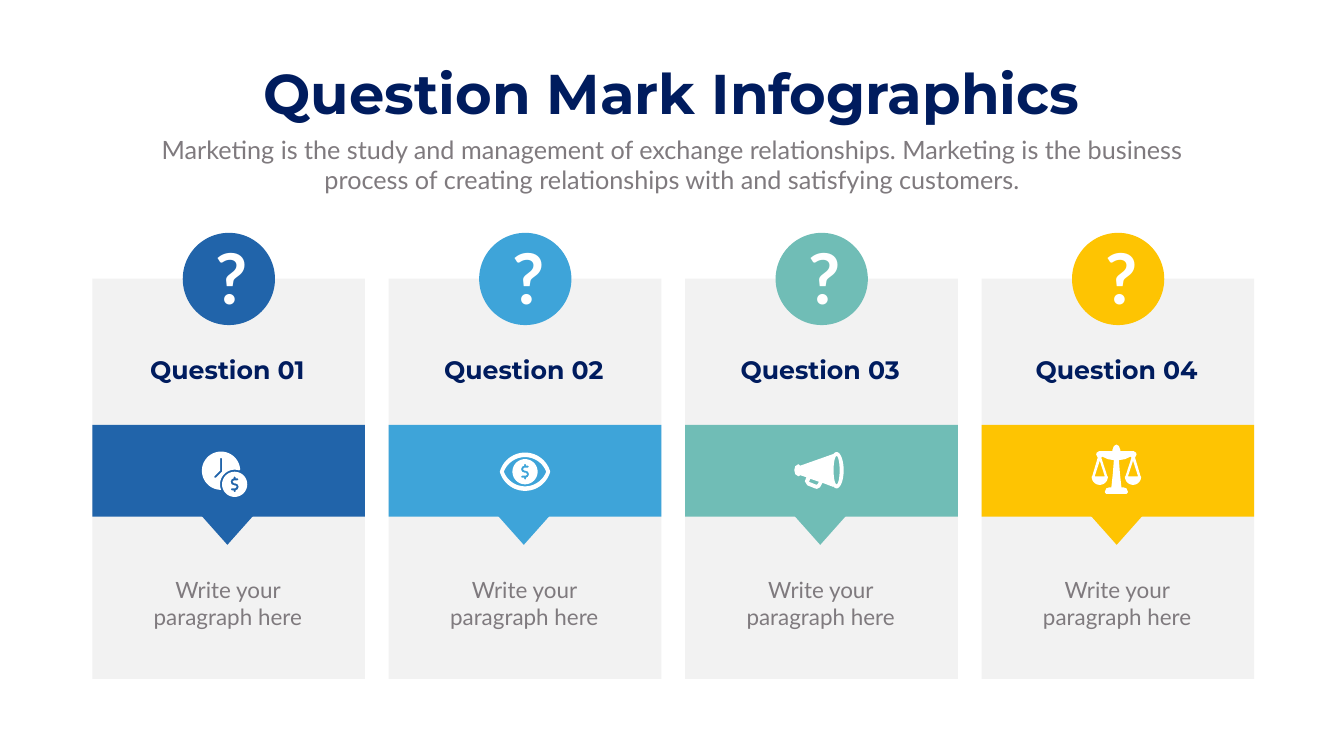
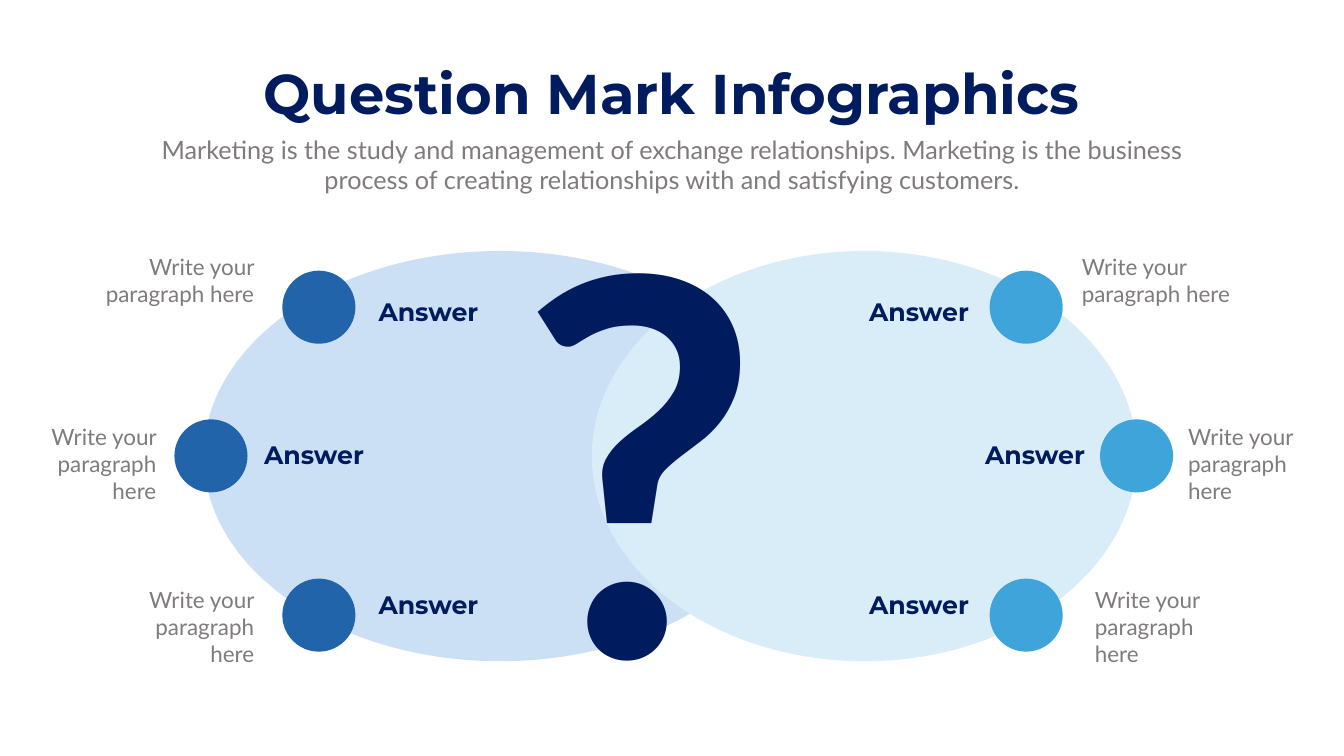
from math import atan, cos, degrees, radians, sin

from pptx import Presentation
from pptx.dml.color import RGBColor
from pptx.enum.shapes import MSO_SHAPE
from pptx.enum.text import MSO_ANCHOR, MSO_AUTO_SIZE, PP_ALIGN
from pptx.util import Inches, Pt

RECT, OVAL, TRIANGLE = MSO_SHAPE.RECTANGLE, MSO_SHAPE.OVAL, MSO_SHAPE.ISOSCELES_TRIANGLE
LEFT, CENTER, RIGHT = PP_ALIGN.LEFT, PP_ALIGN.CENTER, PP_ALIGN.RIGHT
TOP, GROW = MSO_ANCHOR.TOP, MSO_AUTO_SIZE.SHAPE_TO_FIT_TEXT

COLS, ROWS, CELL = 26.66, 15, Inches(1)
COLORS = {
    "navy": "001C5E", "gray": "7F7A7E", "panel": "F2F2F2", "white": "FFFFFF",
    "blue": "2164AA", "sky": "3EA4D9", "teal": "70BDB6", "yellow": "FEC402",
    "pale_blue": "CCE0F5", "pale_sky": "D8EDF7",
}
STYLES = {
    "title": ("Montserrat", 80, True, "navy"),
    "subtitle": ("Lato", 36, False, "gray"),
    "heading": ("Montserrat", 36, True, "navy"),
    "note": ("Lato", 32, False, "gray"),
    "mark": ("Lato", 100, True, "white"),
    "giant": ("Lato", 750, True, "navy"),
}
TITLE = "Question Mark Infographics"
SUBTITLE = ("Marketing is the study and management of exchange relationships. "
            "Marketing is the business process of creating relationships with "
            "and satisfying customers.")
NOTE = "Write your paragraph here"
DOLLAR = [
    (-.01, -.02), (.01, -.02), (.06, 0), (.08, .05), (.06, .1), (.02, .12),
    (.02, .14), (0, .16), (-.02, .14), (-.02, .12), (-.06, .12), (-.08, .1),
    (-.06, .08), (.01, .08), (.04, .05), (.01, .02), (-.01, .02), (-.06, 0),
    (-.08, -.05), (-.06, -.1), (-.02, -.12), (-.02, -.14), (0, -.16),
    (.02, -.14), (.02, -.12), (.06, -.12), (.08, -.1), (.06, -.08),
    (-.01, -.08), (-.04, -.05),
]


def arc(cx, cy, rx, ry, start=0, end=360, steps=40):
    angles = [radians(start + (end - start) * i / steps) for i in range(steps + 1)]
    return [(cx + rx * cos(a), cy + ry * sin(a)) for a in angles]


def lens(cx, cy, w, h):
    r = (w * w + h * h) / (2 * h)
    half = degrees(2 * atan(h / w))
    return (arc(cx, cy + r - h, r, r, -90 - half, -90 + half)
            + arc(cx, cy - r + h, r, r, 90 - half, 90 + half))


def mirror(points):
    return [(-x, y) for x, y in reversed(points)]


def shift(points, dx, dy):
    return [(x + dx, y + dy) for x, y in points]


def coin(cx, cy):
    return [arc(cx, cy, .25, .25), shift(DOLLAR, cx, cy)]


def clock_icon():
    face = arc(-.15, 0, .38, .38, 90, 357) + arc(.12, .27, .29, .29, -72, -202)
    hands = [(-.25, .14), (-.28, .14), (-.28, .11), (-.17, 0), (-.17, -.24),
             (-.15, -.26), (-.13, -.24), (-.13, .02)]
    return [[face, hands], coin(.12, .27)]


def eye_icon():
    return [[lens(0, .02, .5, .38), lens(0, .02, .42, .29)], coin(0, .02)]


def megaphone_icon():
    body = [(.23, -.33), (-.42, -.1), (-.46, -.13), (-.52, -.09), (-.54, -.01),
            (-.52, .07), (-.46, .11), (-.42, .09), (-.3, .13), (-.33, .21),
            (-.28, .29), (-.13, .35), (-.09, .36), (-.03, .33), (.02, .24), (.23, .32)]
    handle = [(-.08, .27), (-.1, .28), (-.25, .22), (-.22, .16), (-.05, .22)]
    return [[body + arc(.3, -.01, .14, .36, 120, -120), handle,
             arc(.3, -.01, .06, .28)]]


def scales_icon():
    side = ([(0, -.49), (.05, -.46), (.08, -.38), (.08, -.36), (.34, -.36),
             (.39, -.33), (.4, -.29), (.37, -.23), (.48, .14)]
            + arc(.33, .15, .16, .16, 0, 180)
            + [(.18, .14), (.3, -.23), (.28, -.25), (.17, -.2), (.05, -.18),
               (.07, .08), (.1, .36), (.14, .36), (.2, .38), (.23, .45),
               (.22, .47), (.2, .49), (0, .49)])
    pan = [(.23, .14), (.33, -.17), (.43, .14)]
    outlines = [side + mirror(side), pan, mirror(pan)]
    return [[shift(points, -.03, -.03) for points in outlines]]


class Deck:
    def __init__(self):
        self.prs = Presentation()
        self.prs.slide_width = self.size(COLS)
        self.prs.slide_height = self.size(ROWS)
        self.slide = None

    def size(self, cells):
        return round(cells * CELL)

    def color(self, name):
        return RGBColor.from_string(COLORS[name])

    def paint(self, sp, color):
        sp.shadow.inherit = False
        sp.fill.solid()
        sp.fill.fore_color.rgb = self.color(color)
        sp.line.fill.background()

    def set_text(self, sp, text, style, align, wrap):
        tf = sp.text_frame
        tf.text = text
        tf.word_wrap = wrap
        tf.auto_size = GROW
        tf.vertical_anchor = TOP
        p = tf.paragraphs[0]
        p.alignment = align
        p.space_before = Pt(0)
        name, points, p.font.bold, color = STYLES[style]
        p.font.name = name
        p.font.size = Pt(points)
        p.font.color.rgb = self.color(color)

    def placeholder(self, sp, text, style, box, wrap=True):
        sp.left, sp.top, sp.width, sp.height = map(self.size, box)
        self.set_text(sp, text, style, CENTER, wrap)

    def new_slide(self):
        self.slide = self.prs.slides.add_slide(self.prs.slide_layouts[0])
        title, subtitle = self.slide.placeholders
        self.placeholder(title, TITLE, "title", (4.9, 1.12, 16.85, 1.45), False)
        self.placeholder(subtitle, SUBTITLE, "subtitle", (2.92, 2.61, 20.82, 1.31))

    def shape(self, kind, x, y, w, h, color, rotation=0):
        sp = self.slide.shapes.add_shape(kind, *map(self.size, (x, y, w, h)))
        sp.rotation = rotation
        self.paint(sp, color)

    def text(self, text, style, x, y, w, h, align=CENTER, wrap=True):
        sp = self.slide.shapes.add_textbox(*map(self.size, (x, y, w, h)))
        self.set_text(sp, text, style, align, wrap)

    def icon(self, parts, x, y, color="white"):
        for outlines in parts:
            builder = None
            for outline in outlines:
                points = [(self.size(px), self.size(py))
                          for px, py in shift(outline, x, y)]
                if builder is None:
                    builder = self.slide.shapes.build_freeform(*points[0], scale=1.0)
                else:
                    builder.move_to(*points[0])
                builder.add_line_segments(points[1:], close=True)
            self.paint(builder.convert_to_shape(), color)

    def card(self, number, x, color, icon):
        width = 5.41
        middle = x + width / 2
        self.shape(RECT, x, 5.53, width, 7.94, "panel")
        self.shape(OVAL, middle - .91, 4.62, 1.83, 1.83, color)
        self.shape(RECT, x, 8.43, width, 1.82, color)
        self.shape(TRIANGLE, middle - .55, 10.22, 1.05, .59, color, 180)
        self.text("?", "mark", middle - .35, 4.6, .79, 1.78, wrap=False)
        self.text(f"Question {number:02}", "heading", middle - 1.88, 6.99, 3.71, .71)
        self.text(NOTE, "note", middle - 1.62, 11.39, 3.21, 1.2)
        self.icon(icon, middle, 9.34)

    def answer(self, node, label, note, color, inward, outward):
        self.shape(OVAL, *node, 1.45, 1.45, color)
        self.text("Answer", "heading", *label, 3.71, .71, inward)
        self.text(NOTE, "note", *note, outward)


def question_cards(deck):
    deck.new_slide()
    cards = [("blue", clock_icon()), ("sky", eye_icon()),
             ("teal", megaphone_icon()), ("yellow", scales_icon())]
    for i, (color, icon) in enumerate(cards):
        deck.card(i + 1, 1.83 + 5.88 * i, color, icon)


def answer_circles(deck):
    deck.new_slide()
    deck.shape(OVAL, 4.04, 4.98, 11.76, 8.14, "pale_blue")
    deck.shape(OVAL, 11.74, 4.98, 10.81, 8.14, "pale_sky")
    rows = [(5.37, 5.82, 4.97, 3.37, 1.2), (8.32, 8.67, 8.35, 2.35, 1.72),
            (11.48, 11.64, 11.58, 2.35, 1.72)]
    sides = [
        ("blue", LEFT, RIGHT, [(5.6, 7.41, 1.77), (3.46, 5.14, .85), (5.6, 7.41, 2.79)]),
        ("sky", RIGHT, LEFT,
         [(19.63, 15.61, 21.36), (21.82, 17.91, 23.47), (19.63, 15.61, 21.62)]),
    ]
    for color, inward, outward, columns in sides:
        for (node_x, label_x, note_x), (node_y, label_y, note_y, w, h) in zip(columns, rows):
            deck.answer((node_x, node_y), (label_x, label_y), (note_x, note_y, w, h),
                        color, inward, outward)
    deck.text("?", "giant", 10.2, 2.57, 4.62, 12.72, LEFT, wrap=False)


def main():
    deck = Deck()
    question_cards(deck)
    answer_circles(deck)
    deck.prs.save("out.pptx")


if __name__ == "__main__":
    main()
